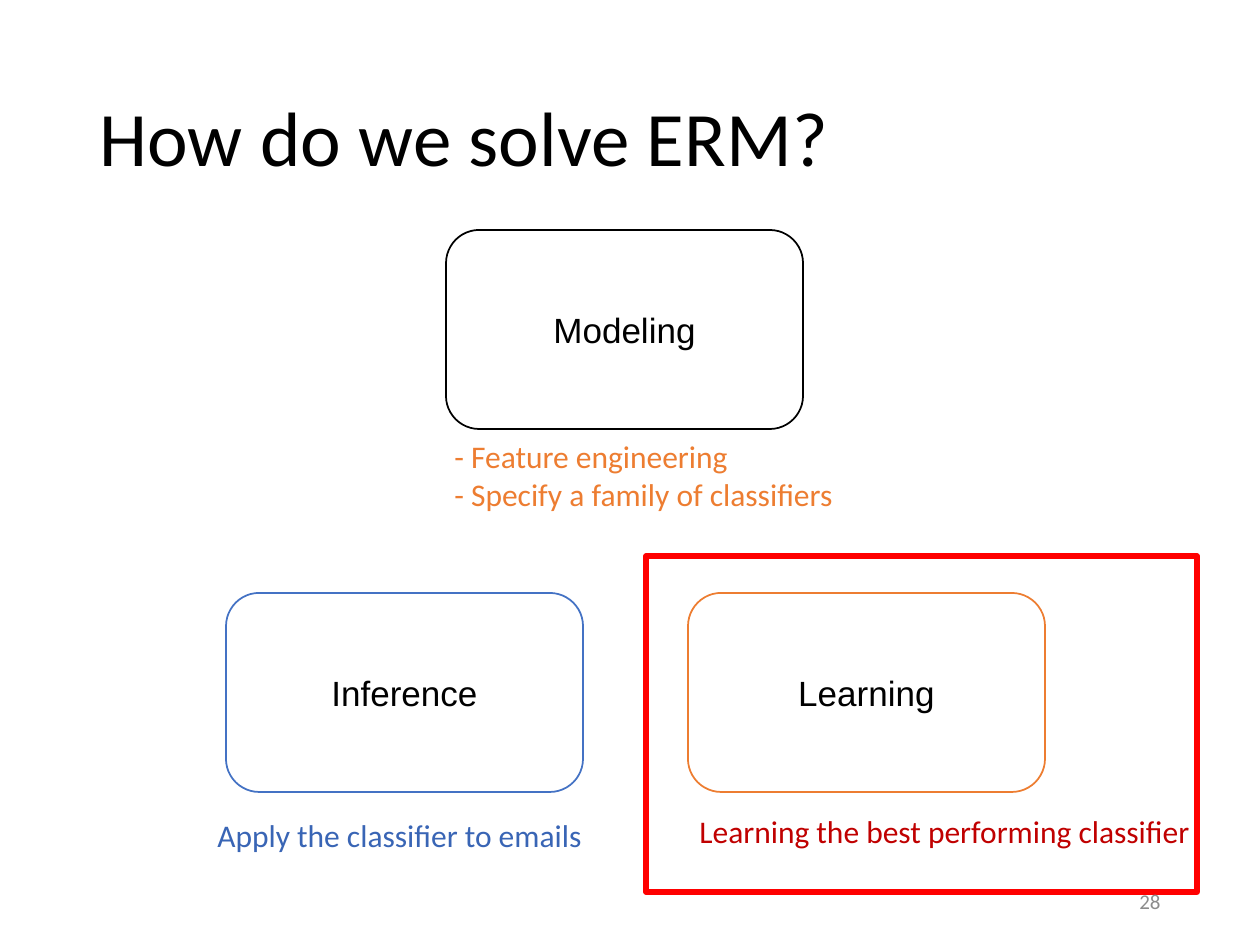
from dataclasses import dataclass

from pptx import Presentation
from pptx.dml.color import RGBColor
from pptx.enum.shapes import MSO_SHAPE
from pptx.enum.text import MSO_ANCHOR, MSO_AUTO_SIZE, PP_ALIGN
from pptx.util import Emu, Pt

EMU_PER_PX = 914400 / 126
TITLE_ONLY = 5
LEFT, CENTER, RIGHT = PP_ALIGN.LEFT, PP_ALIGN.CENTER, PP_ALIGN.RIGHT
TOP, MIDDLE = MSO_ANCHOR.TOP, MSO_ANCHOR.MIDDLE
RECTANGLE, ROUNDED = MSO_SHAPE.RECTANGLE, MSO_SHAPE.ROUNDED_RECTANGLE
STAGE_WIDTH, STAGE_HEIGHT = 357, 199
BLACK, WHITE, ORANGE, BLUE = "000000", "FFFFFF", "ED7D31", "4472C4"


@dataclass
class Stage:
    name: str
    left: int
    top: int
    line_color: str


@dataclass
class Label:
    lines: list[str]
    left: int
    top: int
    width: int
    height: int
    color: str
    size: int = 18
    align: PP_ALIGN = LEFT
    anchor: MSO_ANCHOR = TOP


STAGES = [
    Stage("Modeling", 446, 230, BLACK),
    Stage("Inference", 226, 593, BLUE),
    Stage("Learning", 688, 593, ORANGE),
]
LABELS = [
    Label(["- Feature engineering", "- Specify a family of classifiers"],
          442, 431, 451, 89, ORANGE),
    Label(["Learning the best performing classifier"], 687, 806, 573, 50, "C00000"),
    Label(["Apply the classifier to emails"], 205, 810, 427, 50, "3965B5"),
]
PAGE_NUMBER = Label(["28"], 890, 876, 283, 50, "8C8C8C", 12, RIGHT, MIDDLE)


def px(length: int) -> Emu:
    return Emu(round(length * EMU_PER_PX))


def rgb(color: str) -> RGBColor:
    return RGBColor.from_string(color)


def format_paragraph(paragraph, size: int, font: str, color: str, align: PP_ALIGN) -> None:
    paragraph.alignment = align
    paragraph.font.size = Pt(size)
    paragraph.font.name = font
    paragraph.font.color.rgb = rgb(color)


def set_title(slide, text: str) -> None:
    title = slide.shapes.title
    title.left, title.top, title.width, title.height = map(px, (87, 50, 1086, 183))
    frame = title.text_frame
    frame.text = text
    frame.auto_size = MSO_AUTO_SIZE.NONE
    frame.vertical_anchor = MIDDLE
    frame.paragraphs[0].line_spacing = 0.9
    format_paragraph(frame.paragraphs[0], 44, "Calibri", BLACK, LEFT)


def add_outline(slide, kind: MSO_SHAPE, bounds: tuple[int, int, int, int],
                color: str, weight: int):
    shape = slide.shapes.add_shape(kind, *map(px, bounds))
    shape.shadow.inherit = False
    shape.fill.background()
    shape.line.color.rgb = rgb(color)
    shape.line.width = Pt(weight)
    return shape


def add_stage(slide, stage: Stage) -> None:
    bounds = (stage.left, stage.top, STAGE_WIDTH, STAGE_HEIGHT)
    shape = add_outline(slide, ROUNDED, bounds, stage.line_color, 1)
    shape.fill.solid()
    shape.fill.fore_color.rgb = rgb(WHITE)
    frame = shape.text_frame
    frame.text = stage.name
    frame.word_wrap = False
    frame.vertical_anchor = MIDDLE
    format_paragraph(frame.paragraphs[0], 20, "Arial", BLACK, CENTER)


def add_label(slide, label: Label) -> None:
    bounds = (label.left, label.top, label.width, label.height)
    frame = slide.shapes.add_textbox(*map(px, bounds)).text_frame
    frame.text = "\n".join(label.lines)
    frame.word_wrap = True
    frame.vertical_anchor = label.anchor
    for paragraph in frame.paragraphs:
        format_paragraph(paragraph, label.size, "Calibri", label.color, label.align)


def main() -> None:
    presentation = Presentation()
    presentation.slide_width, presentation.slide_height = px(1260), px(945)
    slide = presentation.slides.add_slide(presentation.slide_layouts[TITLE_ONLY])
    set_title(slide, "How do we solve ERM?")
    for stage in STAGES:
        add_stage(slide, stage)
    for label in LABELS:
        add_label(slide, label)
    add_outline(slide, RECTANGLE, (646, 556, 551, 336), "FF0000", 3)
    add_label(slide, PAGE_NUMBER)
    presentation.save("out.pptx")


if __name__ == "__main__":
    main()
